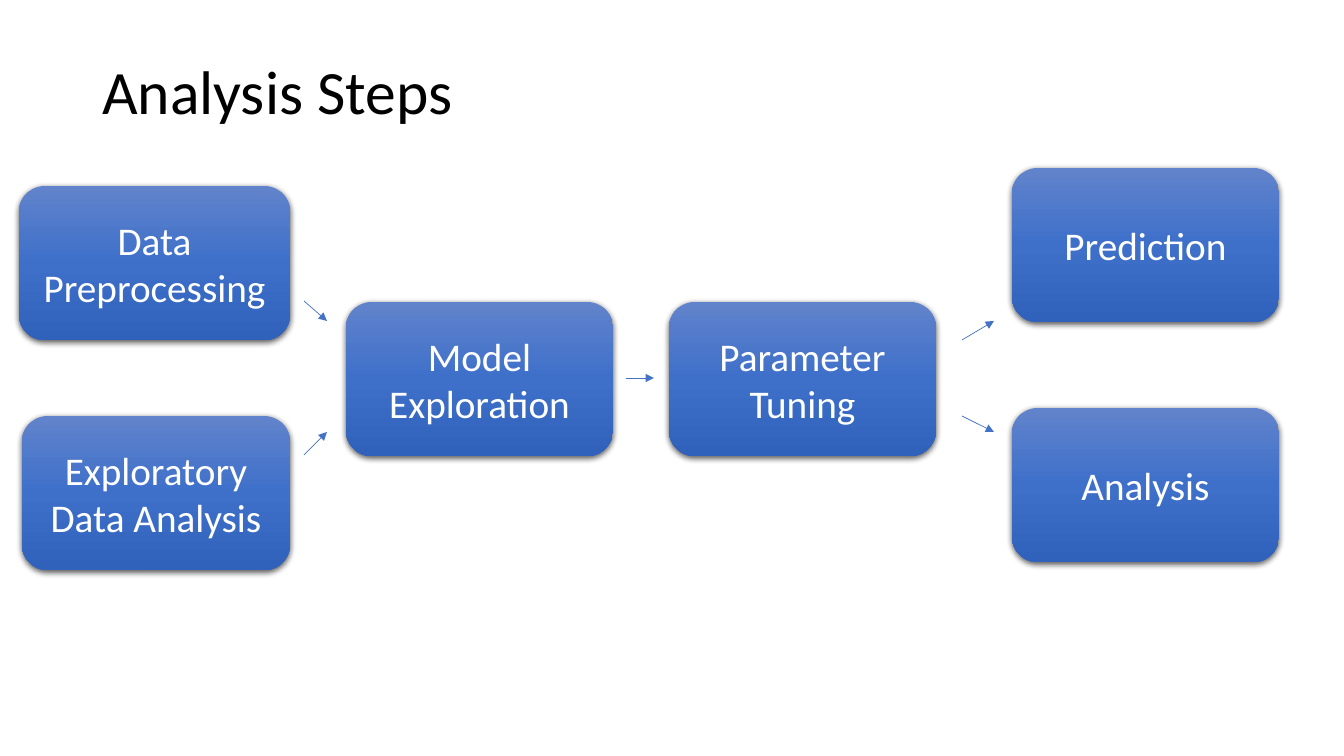
"""Build the Analysis Steps flow slide."""
from dataclasses import dataclass

from pptx import Presentation
from pptx.dml.color import RGBColor as Rgb
from pptx.enum.shapes import MSO_CONNECTOR as Link, MSO_SHAPE as Form
from pptx.enum.text import MSO_ANCHOR as Anchor, PP_ALIGN as Align
from pptx.oxml import parse_xml
from pptx.oxml.ns import nsdecls
from pptx.util import Emu, Pt

SCALE = 914400 / 100.8


@dataclass(frozen=True)
class Theme:
    font: str = "Calibri"
    ink: str = "000000"
    light: str = "FFFFFF"
    line: str = "4472C4"
    shade: str = "000000"
    stops: tuple = ((0, "6183CB"), (50, "3E70CA"), (100, "3062BB"))
    head: int = 44
    body: int = 28
    rule: float = 0.5


THEME = Theme()
HIGH = 154
WIDE = 267
BOXES = (
    ("Exploratory Data Analysis", 22, 416, 268),
    ("Data Preprocessing", 19, 186, 271),
    ("Model Exploration", 346, 302, WIDE),
    ("Parameter Tuning", 669, 302, WIDE),
    ("Prediction", 1012, 168, WIDE),
    ("Analysis", 1012, 408, WIDE),
)
ARROWS = (
    (304, 301, 327, 321),
    (304, 455, 327, 432),
    (626, 378, 654, 378),
    (962, 340, 994, 321),
    (962, 416, 994, 432),
)


def px(*sizes):
    """Turn pixels into EMU."""
    return [Emu(round(size * SCALE)) for size in sizes]


def node(xml):
    """Make a drawing element from a template with a namespace slot."""
    return parse_xml(xml.replace("@", nsdecls("a"), 1))


def style(frame, size, color, align):
    """Format the single paragraph of a text frame."""
    frame.word_wrap = True
    frame.vertical_anchor = Anchor.MIDDLE
    para = frame.paragraphs[0]
    para.alignment = align
    font = para.runs[0].font
    font.name = THEME.font
    font.size = Pt(size)
    font.color.rgb = Rgb.from_string(color)


def add_title(slide, text):
    """Fill and place the title."""
    title = slide.shapes.title
    title.left, title.top, title.width, title.height = px(92, 22, 1159, 146)
    title.text_frame.text = text
    style(title.text_frame, THEME.head, THEME.ink, Align.LEFT)
    title.text_frame.paragraphs[0].line_spacing = 0.9


def add_box(slide, text, left, top, width):
    """Add a rounded step box with a gradient and a soft shadow."""
    box = slide.shapes.add_shape(Form.ROUNDED_RECTANGLE,
                                 *px(left, top, width, HIGH))
    box.line.fill.background()
    box.shadow.inherit = False
    props = box._element.spPr
    stops = "".join(
        f'<a:gs pos="{pos * 1000}"><a:srgbClr val="{color}"/></a:gs>'
        for pos, color in THEME.stops)
    props.prstGeom.addnext(node(
        f'<a:gradFill @ rotWithShape="1"><a:gsLst>{stops}</a:gsLst>'
        '<a:lin ang="5400000" scaled="0"/></a:gradFill>'))
    props.find("{*}effectLst").append(node(
        f'<a:outerShdw @ blurRad="{Pt(4.5)}" dist="{Pt(1.5)}" dir="5400000" '
        f'algn="ctr" rotWithShape="0"><a:srgbClr val="{THEME.shade}">'
        '<a:alpha val="63000"/></a:srgbClr></a:outerShdw>'))
    box.text_frame.text = text
    style(box.text_frame, THEME.body, THEME.light, Align.CENTER)


def add_arrow(slide, *ends):
    """Add a thin arrow from the first point to the second."""
    arrow = slide.shapes.add_connector(Link.STRAIGHT, *px(*ends))
    arrow.line.width = Pt(THEME.rule)
    arrow.line.color.rgb = Rgb.from_string(THEME.line)
    arrow.line._get_or_add_ln().append(node('<a:tailEnd @ type="triangle"/>'))
    arrow._element.spPr.append(node("<a:effectLst @/>"))


def main():
    """Build and save the slide."""
    deck = Presentation()
    deck.slide_width, deck.slide_height = px(1344, 756)
    slide = deck.slides.add_slide(deck.slide_layouts[5])
    add_title(slide, "Analysis Steps")
    for box in BOXES:
        add_box(slide, *box)
    for arrow in ARROWS:
        add_arrow(slide, *arrow)
    deck.save("out.pptx")


main()
